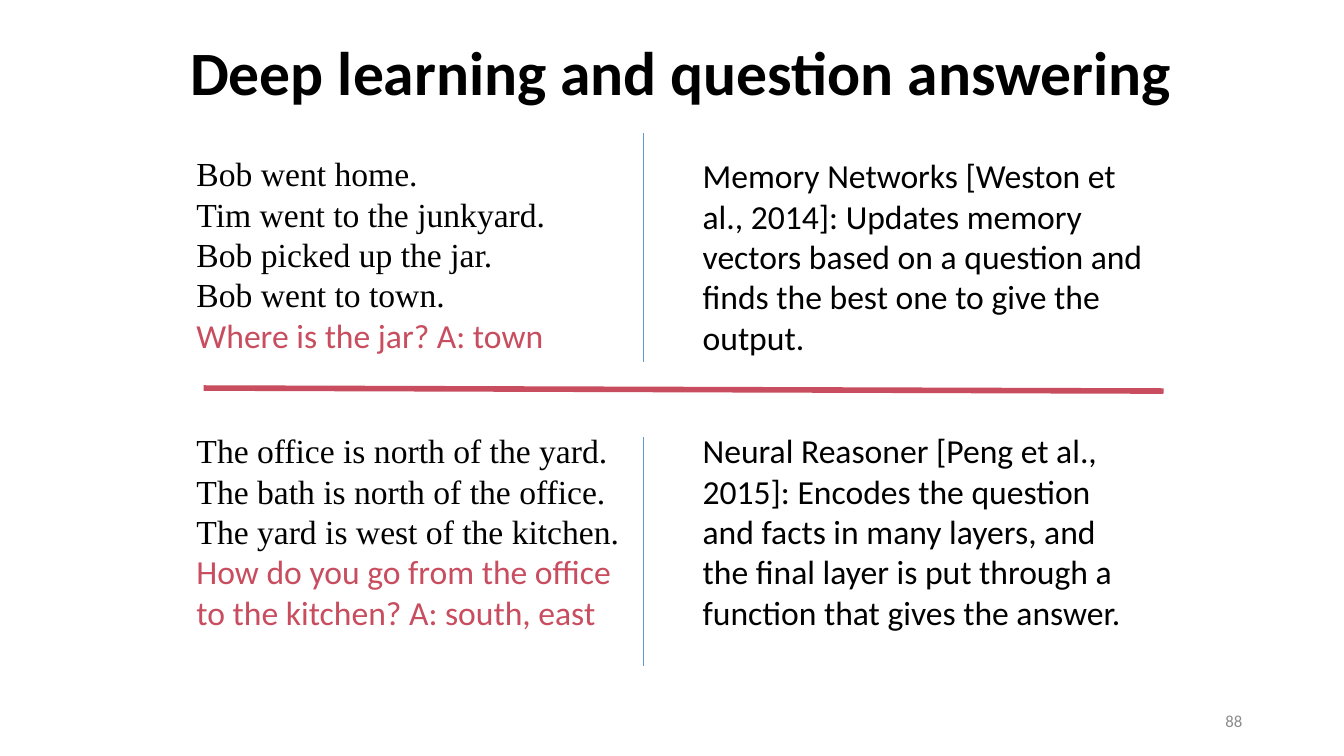
from dataclasses import dataclass

import pptx
import pptx.dml.color
import pptx.enum.shapes
import pptx.enum.text
import pptx.oxml
import pptx.util


@dataclass(frozen=True)
class Theme:
    sans: str = "Calibri"
    serif: str = "Times New Roman"
    ink: str = "000000"
    accent: str = "C84D5F"
    divider: str = "5B9BD5"
    muted: str = "8C8C8C"
    title_size: int = 44
    body_size: int = 24
    number_size: int = 12
    thin: float = 0.5
    thick: float = 4


class SlideBuilder:
    def __init__(self, deck, theme):
        self.deck = deck
        self.theme = theme
        self.slide = deck.slides.add_slide(deck.slide_layouts[6])

    def across(self, percent):
        return round(self.deck.slide_width * percent / 100)

    def down(self, percent):
        return round(self.deck.slide_height * percent / 100)

    def text(self, box, lines, size, align="LEFT", anchor="TOP", bold=False,
             spacing=None, wrap=True):
        left, top, width, height = box
        frame = self.slide.shapes.add_textbox(
            self.across(left), self.down(top),
            self.across(width), self.down(height)).text_frame
        frame.word_wrap = wrap
        frame.vertical_anchor = getattr(pptx.enum.text.MSO_ANCHOR, anchor)
        for index, (words, font, color) in enumerate(lines):
            paragraph = frame.add_paragraph() if index else frame.paragraphs[0]
            paragraph.text = words
            paragraph.alignment = getattr(pptx.enum.text.PP_ALIGN, align)
            paragraph.line_spacing = spacing
            paragraph.font.name = font
            paragraph.font.size = pptx.util.Pt(size)
            paragraph.font.bold = bold
            paragraph.font.color.rgb = pptx.dml.color.RGBColor.from_string(color)

    def story(self, box, facts, question, wrap=True):
        theme = self.theme
        lines = [(fact, theme.serif, theme.ink) for fact in facts]
        lines.append((question, theme.sans, theme.accent))
        self.text(box, lines, theme.body_size, wrap=wrap)

    def method(self, box, summary):
        theme = self.theme
        self.text(box, [(summary, theme.sans, theme.ink)], theme.body_size)

    def line(self, start, end, color, weight):
        rule = self.slide.shapes.add_connector(
            pptx.enum.shapes.MSO_CONNECTOR.STRAIGHT,
            self.across(start[0]), self.down(start[1]),
            self.across(end[0]), self.down(end[1]))
        rule.line.color.rgb = pptx.dml.color.RGBColor.from_string(color)
        rule.line.width = pptx.util.Pt(weight)
        properties = rule._element.spPr
        properties.append(pptx.oxml.parse_xml(
            '<a:effectLst xmlns:a="http://schemas.openxmlformats.org/drawingml/2006/main"/>'))


def main():
    deck = pptx.Presentation()
    deck.slide_width = pptx.util.Inches(13.33)
    deck.slide_height = pptx.util.Inches(7.5)
    theme = Theme()
    page = SlideBuilder(deck, theme)

    story_left, method_left, divider_x = 13.88, 51.54, 47.86
    lower_top, text_height, divider_height = 56.27, 28.27, 30.27

    page.text((7.58, 0.27, 86.27, 19.33),
              [("Deep learning and question answering", theme.sans, theme.ink)],
              theme.title_size, "CENTER", "MIDDLE", bold=True, spacing=0.9)

    page.story((story_left, 19.6, 27.76, text_height),
               ["Bob went home.", "Tim went to the junkyard.",
                "Bob picked up the jar.", "Bob went to town."],
               "Where is the jar? A: town", wrap=False)
    page.method((method_left, 19.87, 34.43, 33.6),
                "Memory Networks [Weston et al., 2014]: Updates memory vectors "
                "based on a question and finds the best one to give the output.")

    page.story((story_left, lower_top, 33.16, text_height),
               ["The office is north of the yard.",
                "The bath is north of the office.",
                "The yard is west of the kitchen."],
               "How do you go from the office to the kitchen? A: south, east")
    page.method((method_left, lower_top, 33.23, text_height),
                "Neural Reasoner [Peng et al., 2015]: Encodes the question and "
                "facts in many layers, and the final layer is put through a "
                "function that gives the answer.")

    for divider_top in (17.6, 57.87):
        page.line((divider_x, divider_top),
                  (divider_x, divider_top + divider_height),
                  theme.divider, theme.thin)
    page.line((15.15, 51.33), (86.57, 51.73), theme.accent, theme.thick)

    page.text((70.67, 92.67, 22.51, 5.33), [("88", theme.sans, theme.muted)],
              theme.number_size, "RIGHT", "MIDDLE")

    deck.save("out.pptx")


if __name__ == "__main__":
    main()
